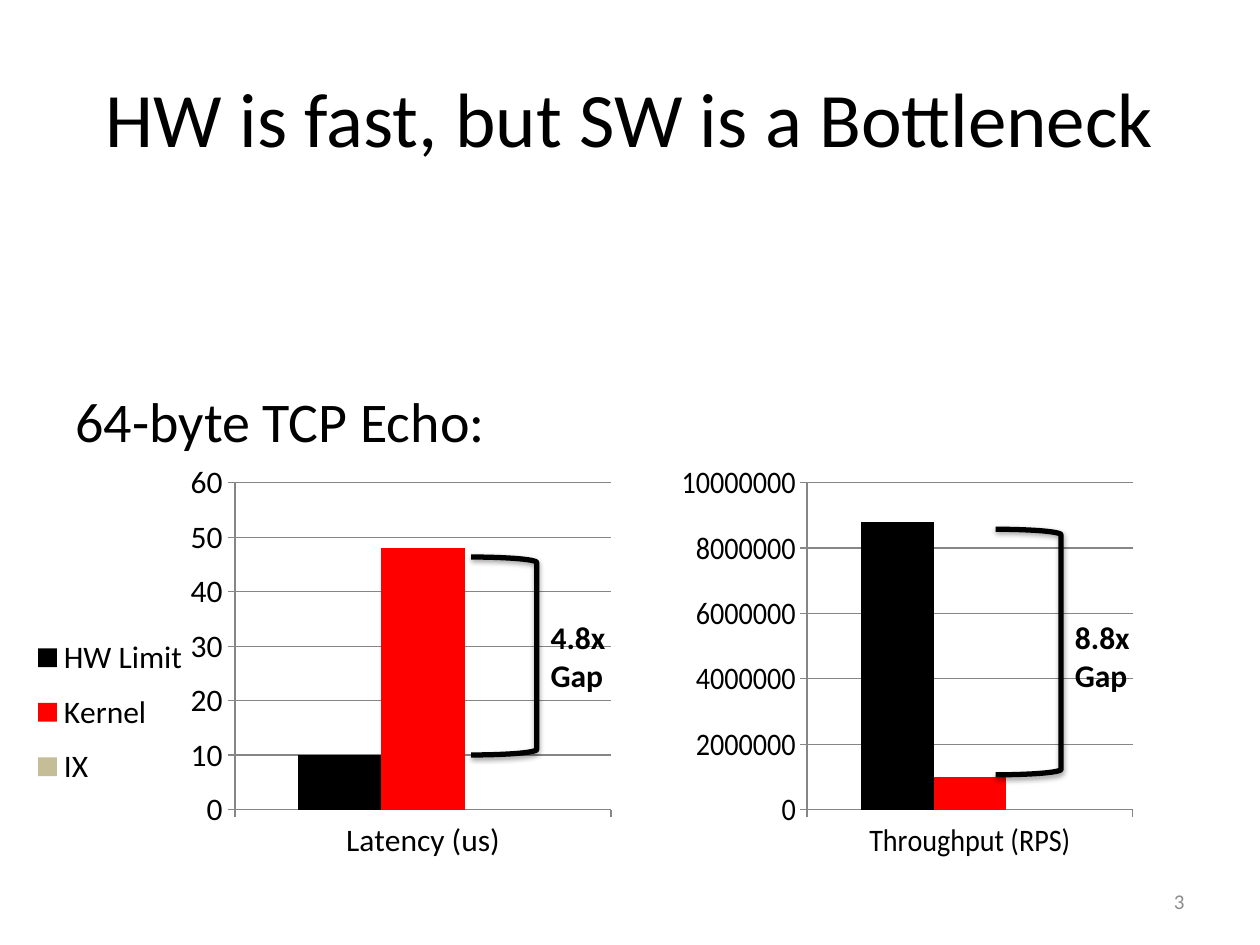
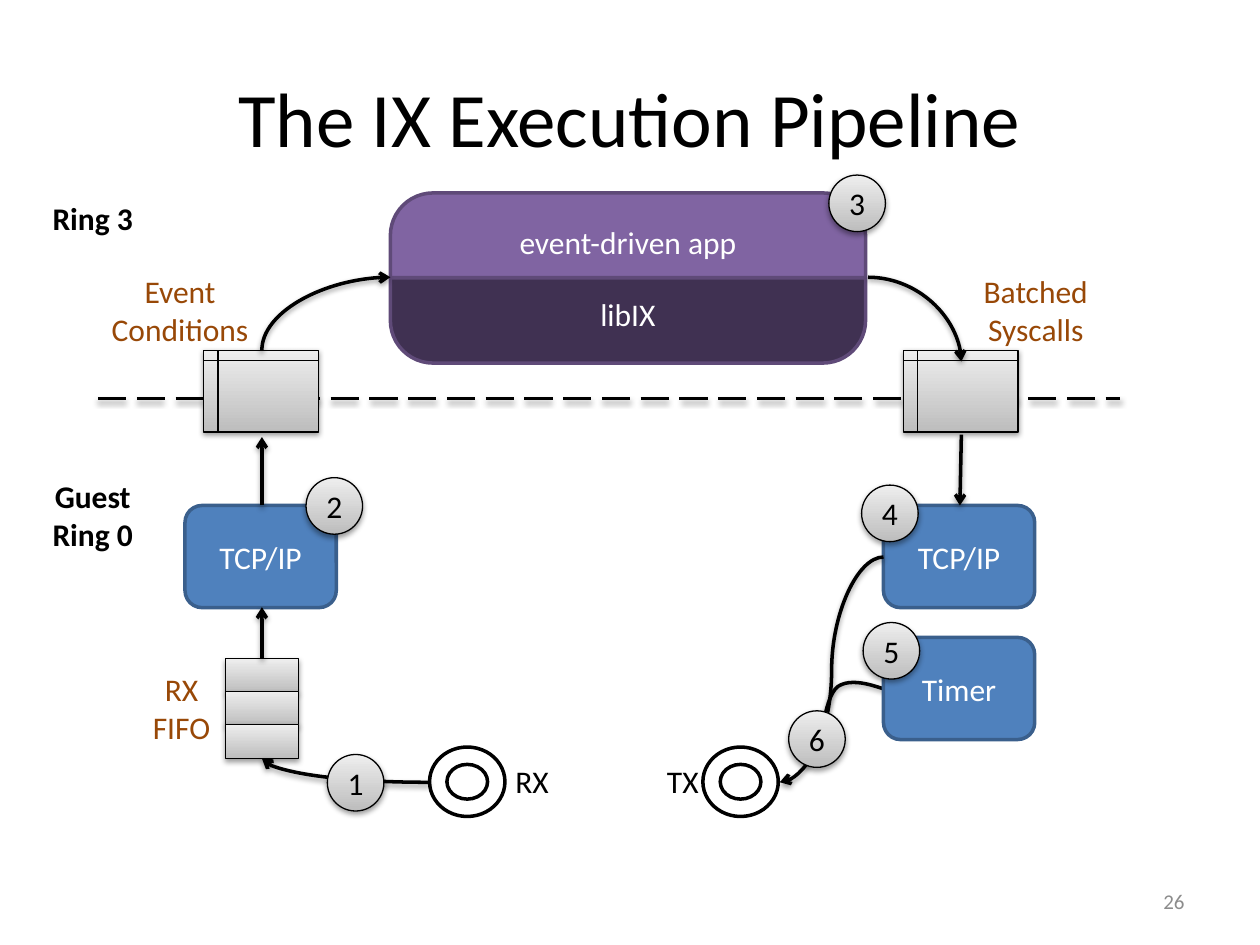
from lxml import etree
from pptx import Presentation
from pptx.chart.data import CategoryChartData
from pptx.dml.color import RGBColor
from pptx.enum.chart import XL_CHART_TYPE, XL_LEGEND_POSITION, XL_TICK_MARK
from pptx.enum.dml import MSO_LINE
from pptx.enum.shapes import MSO_CONNECTOR as LINK, MSO_SHAPE as SHAPE
from pptx.enum.text import MSO_ANCHOR as ANCHOR, PP_ALIGN as ALIGN
from pptx.oxml import parse_xml
from pptx.oxml.ns import nsdecls, qn
from pptx.util import Cm, Pt

FONT = "Calibri"
BLACK = RGBColor(0x00, 0x00, 0x00)
WHITE = RGBColor(0xFF, 0xFF, 0xFF)
RED = RGBColor(0xFF, 0x00, 0x00)
TAN = RGBColor(0xC4, 0xBD, 0x97)
GRID_GREY = RGBColor(0x86, 0x86, 0x86)
NUMBER_GREY = RGBColor(0x8C, 0x8C, 0x8C)
BROWN = RGBColor(0x98, 0x48, 0x07)
BLUE = RGBColor(0x4F, 0x81, 0xBD)
BLUE_EDGE = RGBColor(0x3A, 0x5F, 0x8C)
PURPLE = RGBColor(0x80, 0x64, 0xA2)
DARK_PURPLE = RGBColor(0x40, 0x31, 0x52)
PURPLE_EDGE = RGBColor(0x5F, 0x4A, 0x78)
DARK_SILVER = RGBColor(0xBD, 0xBD, 0xBD)
LIGHT_SILVER = RGBColor(0xEE, 0xEE, 0xEE)

SHADOW = (
    f'<a:effectLst {nsdecls("a")}><a:outerShdw blurRad="40000" dist="20000" dir="5400000" '
    'rotWithShape="0"><a:srgbClr val="000000"><a:alpha val="38000"/></a:srgbClr>'
    '</a:outerShdw></a:effectLst>'
)


def write(shape, text, size=18, color=BLACK, bold=False, align=ALIGN.CENTER,
          anchor=ANCHOR.MIDDLE, wrap=True):
    """Fill the shape with one paragraph per line of text."""
    frame = shape.text_frame
    frame.word_wrap = wrap
    frame.vertical_anchor = anchor
    for index, line in enumerate(text.split("\n")):
        paragraph = frame.add_paragraph() if index else frame.paragraphs[0]
        paragraph.alignment = align
        run = paragraph.add_run()
        run.text = line
        run.font.name = FONT
        run.font.size = Pt(size)
        run.font.bold = bold
        run.font.color.rgb = color


def outline(shape, color=BLACK, width=2, shadow=True, arrow=False):
    """Set the line, with its arrowhead and soft shadow, of a shape or connector."""
    shape.line.color.rgb = color
    shape.line.width = Pt(width)
    properties = shape._element.spPr
    if arrow:
        etree.SubElement(properties.find(qn("a:ln")), qn("a:tailEnd"), type="arrow")
    if shadow:
        properties.append(parse_xml(SHADOW))
    else:
        shape.shadow.inherit = False


deck = Presentation()
deck.slide_width, deck.slide_height = Cm(25.4), Cm(19.05)

slides = []
for title, number in [("HW is fast, but SW is a Bottleneck", "3"),
                      ("The IX Execution Pipeline", "26")]:
    slide = deck.slides.add_slide(deck.slide_layouts[6])
    write(slide.shapes.add_textbox(Cm(1.27), Cm(0.76), Cm(22.86), Cm(3.18)), title, 44)
    write(slide.shapes.add_textbox(Cm(18.21), Cm(17.65), Cm(5.92), Cm(1.02)),
          number, 12, NUMBER_GREY, align=ALIGN.RIGHT)
    slides.append(slide)
gap_slide, pipeline_slide = slides

# Slide 1: hardware limit against software
shapes = gap_slide.shapes
write(shapes.add_textbox(Cm(1.27), Cm(7.67), Cm(22.86), Cm(1.7)), "64-byte TCP Echo:", 32,
      align=ALIGN.LEFT, anchor=ANCHOR.TOP)

systems = [("HW Limit", BLACK), ("Kernel", RED), ("IX", TAN)]
LEGEND_AREA = (0.03, 0.38, 0.3, 0.44)
# category, values, axis top, axis step, left, width, plot left, plot width, legend
measures = [
    ("Latency (us)", (10, 48, None), 60, 10, -0.08, 12.78, 0.377, 0.593, True),
    ("Throughput (RPS)", (8800000, 1000000, None), 10000000, 2000000,
     13.74, 9.35, 0.184, 0.786, False),
]
for category, values, top, step, left, width, plot_left, plot_width, has_legend in measures:
    data = CategoryChartData()
    data.categories = [category]
    for (system, _), value in zip(systems, values):
        data.add_series(system, [value])
    chart = shapes.add_chart(XL_CHART_TYPE.COLUMN_CLUSTERED, Cm(left), Cm(9.35),
                             Cm(width), Cm(8.31), data).chart
    chart.has_title = False
    chart.font.name = FONT
    chart.font.size = Pt(18)
    chart.font.color.rgb = BLACK
    bars = chart.plots[0]
    bars.gap_width, bars.overlap, bars.vary_by_categories = 150, 0, False
    for series, (_, color) in zip(bars.series, systems):
        series.format.fill.solid()
        series.format.fill.fore_color.rgb = color
    scale = chart.value_axis
    scale.minimum_scale, scale.maximum_scale, scale.major_unit = 0, top, step
    scale.has_major_gridlines = True
    scale.major_gridlines.format.line.color.rgb = GRID_GREY
    for axis in (scale, chart.category_axis):
        axis.major_tick_mark = XL_TICK_MARK.OUTSIDE
        axis.format.line.color.rgb = GRID_GREY

    chart.has_legend = has_legend
    areas = [(chart._chartSpace.chart.plotArea, 0, (plot_left, 0.039, plot_width, 0.799))]
    if has_legend:
        chart.legend.position = XL_LEGEND_POSITION.RIGHT
        chart.legend.include_in_layout = False
        areas.append((chart.legend._element, 1, LEGEND_AREA))
    for area, index, box in areas:
        for automatic in area.findall(qn("c:layout")):
            area.remove(automatic)
        layout = etree.Element(qn("c:layout"))
        manual = etree.SubElement(layout, qn("c:manualLayout"))
        if index == 0:
            etree.SubElement(manual, qn("c:layoutTarget"), val="inner")
        for mode in ("xMode", "yMode"):
            etree.SubElement(manual, qn(f"c:{mode}"), val="edge")
        for side, share in zip("xywh", box):
            etree.SubElement(manual, qn(f"c:{side}"), val=str(share))
        area.insert(index, layout)

for factor, left, top, height in [("4.8x", 9.5, 11.23, 3.99), ("8.8x", 20.07, 10.67, 4.95)]:
    bracket = shapes.add_shape(SHAPE.RIGHT_BRACKET, Cm(left), Cm(top), Cm(1.32), Cm(height))
    bracket.fill.background()
    outline(bracket, width=3)
    write(shapes.add_textbox(Cm(left + 1.35), Cm(12.34), Cm(1.65), Cm(1.8)), f"{factor}\nGap",
          bold=True, align=ALIGN.LEFT, anchor=ANCHOR.TOP, wrap=False)

# Slide 2: the pipeline
shapes = pipeline_slide.shapes

# Timer output: two Bézier arcs that join the path to TX
timer_arcs = [
    [(17.96, 13.94), (17.55, 13.79), (17.15, 13.67), (16.89, 13.84)],
    [(16.89, 13.84), (16.64, 14.05), (16.61, 14.68), (16.48, 15.06)],
]
STEPS = 12
timer_points = []
for arc in timer_arcs:
    for step in range(1, STEPS + 1):
        t = step / STEPS
        weights = ((1 - t) ** 3, 3 * t * (1 - t) ** 2, 3 * t ** 2 * (1 - t), t ** 3)
        timer_points.append([Cm(sum(w * point[i] for w, point in zip(weights, arc)))
                             for i in (0, 1)])
start_x, start_y = timer_arcs[0][0]
builder = shapes.build_freeform(Cm(start_x), Cm(start_y))
builder.add_line_segments(timer_points, close=False)
timer_path = builder.convert_to_shape()
timer_path.fill.background()
outline(timer_path)

ring_border = shapes.add_connector(LINK.STRAIGHT, Cm(1.98), Cm(8.03), Cm(22.58), Cm(8.03))
outline(ring_border)
ring_border.line.dash_style = MSO_LINE.LONG_DASH

for text, top, fill, corners in [("event-driven app", 3.89, PURPLE, (0.5, 0)),
                                 ("libIX", 5.6, DARK_PURPLE, (0, 0.5))]:
    layer = shapes.add_shape(SHAPE.ROUND_2_SAME_RECTANGLE, Cm(7.87), Cm(top), Cm(9.58), Cm(1.72))
    layer.adjustments[0], layer.adjustments[1] = corners
    layer.fill.solid()
    layer.fill.fore_color.rgb = fill
    outline(layer, PURPLE_EDGE, shadow=False)
    write(layer, text, color=WHITE)

for text, left, top in [("TCP/IP", 3.73, 10.19), ("TCP/IP", 17.81, 10.19),
                        ("Timer", 17.81, 12.85)]:
    stage = shapes.add_shape(SHAPE.ROUNDED_RECTANGLE, Cm(left), Cm(top), Cm(3.05), Cm(2.06))
    stage.fill.solid()
    stage.fill.fore_color.rgb = BLUE
    outline(stage, BLUE_EDGE, shadow=False)
    write(stage, text, color=WHITE)

for left in (8.66, 14.17):
    ring = shapes.add_shape(SHAPE.DONUT, Cm(left), Cm(15.06), Cm(1.52), Cm(1.4))
    ring.fill.solid()
    ring.fill.fore_color.rgb = WHITE
    outline(ring, shadow=False)

for text, left, top, width, color, bold in [
    ("RX", 10.13, 15.24, 1.19, BLACK, False),
    ("TX", 13.18, 15.24, 1.17, BLACK, False),
    ("RX\nFIFO", 2.82, 13.39, 1.68, BROWN, False),
    ("Event\nConditions", 1.98, 5.36, 3.3, BROWN, False),
    ("Batched\nSyscalls", 19.56, 5.36, 2.64, BROWN, False),
    ("Ring 3", 0.79, 3.89, 2.16, BLACK, True),
    ("Guest\nRing 0", 0.79, 9.5, 2.16, BLACK, True),
]:
    height = 1.03 if "\n" not in text else 1.8
    write(shapes.add_textbox(Cm(left), Cm(top), Cm(width), Cm(height)), text,
          color=color, bold=bold, anchor=ANCHOR.TOP, wrap=False)

queues = [(SHAPE.FLOWCHART_INTERNAL_STORAGE, left, 7.06, 2.31, 1.65, "") for left in (4.11, 18.21)]
queues += [(SHAPE.RECTANGLE, 4.55, 13.28 + 0.66 * slot, 1.47, 0.69, "") for slot in range(3)]
badge_places = [(6.6, 15.21), (6.17, 9.63), (16.71, 3.53), (17.37, 9.78), (17.4, 12.55),
                (15.9, 14.33)]
badges = [(SHAPE.OVAL, left, top, 1.14, 1.14, str(number))
          for number, (left, top) in enumerate(badge_places, 1)]

# The turned curves are given by their ends before the turn.
flows = [
    ("line", (5.28, 13.28), (5.28, 12.24), 0),
    ("line", (5.28, 10.19), (5.28, 8.81), 0),
    ("line", (19.38, 8.76), (19.35, 10.19), 0),
    ("curvedConnector2", (7.31, 7.62), (5.84, 5.03), 90),
    ("curvedConnector2", (17.5, 5.59), (19.38, 7.29), 0),
    ("curvedConnector2", (5.28, 15.29), (8.66, 15.77), 180),
    ("curvedConnector3", (15.72, 15.77), (17.81, 11.23), 180),
]

for silver_shapes in (queues, badges):
    for kind, left, top, width, height, text in silver_shapes:
        silver = shapes.add_shape(kind, Cm(left), Cm(top), Cm(width), Cm(height))
        silver.fill.gradient()
        silver.fill.gradient_angle = 90
        for stop, color in zip(silver.fill.gradient_stops, (DARK_SILVER, LIGHT_SILVER)):
            stop.color.rgb = color
        outline(silver, width=0.75)
        if text:
            write(silver, text, wrap=False)
    if silver_shapes is queues:
        for geometry, begin, end, turn in flows:
            flow = shapes.add_connector(LINK.STRAIGHT if geometry == "line" else LINK.CURVE,
                                        *[Cm(value) for value in begin + end])
            flow._element.spPr.find(qn("a:prstGeom")).set("prst", geometry)
            if turn:
                flow._element.spPr.find(qn("a:xfrm")).set("rot", str(turn * 60000))
            outline(flow, arrow=True)

deck.save("out.pptx")
